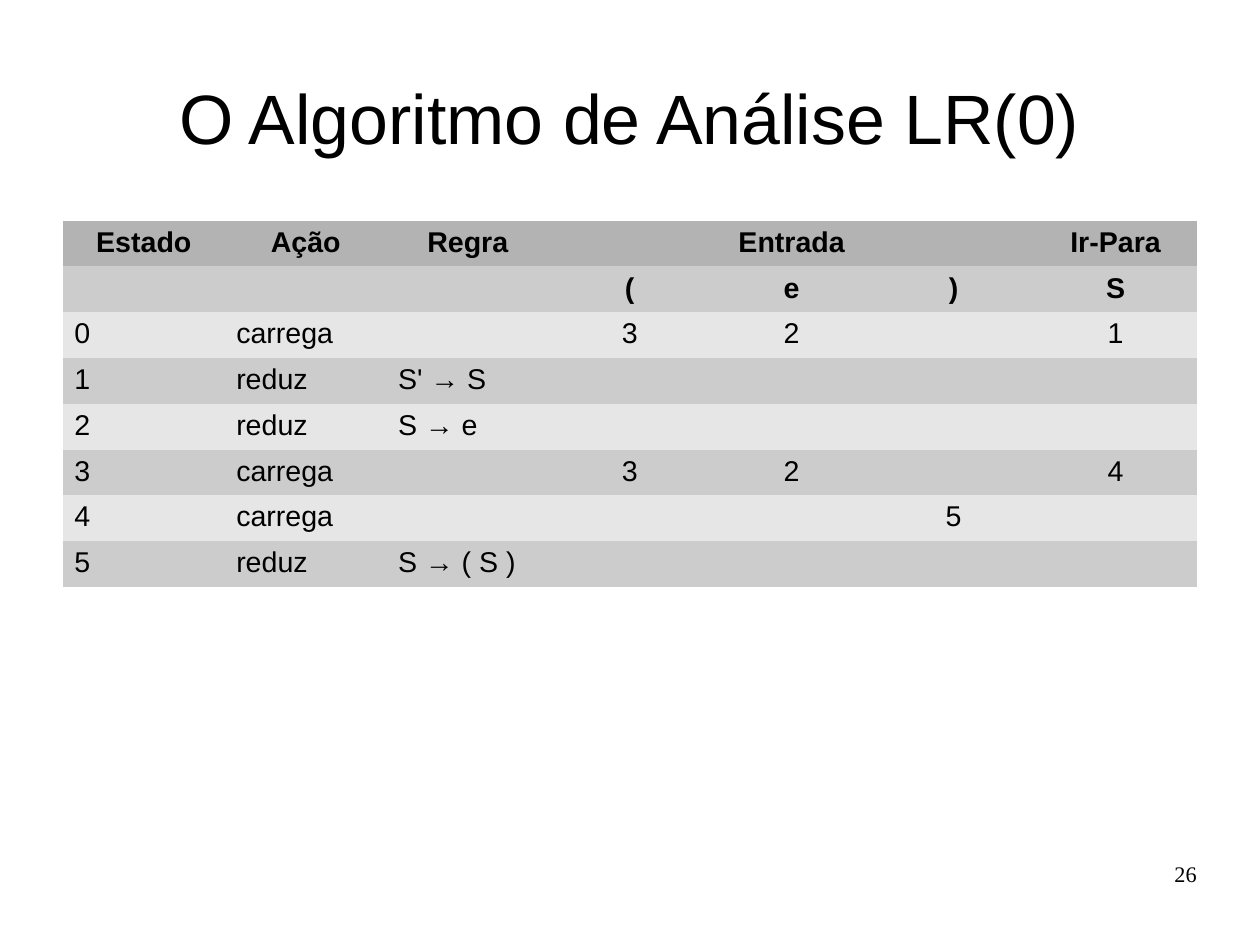
import pptx
import pptx.dml.color
import pptx.enum.text
import pptx.oxml.ns
import pptx.util

Pt = pptx.util.Pt
Align = pptx.enum.text.PP_ALIGN
Anchor = pptx.enum.text.MSO_ANCHOR

PLAIN = "{2D5ABB26-0587-4C30-8999-92F81FD0307C}"
HEADS = 2
ROWS = [
    ["Estado", "Ação", "Regra", "Entrada", "", "", "Ir-Para"],
    ["", "", "", "(", "e", ")", "S"],
    ["0", "carrega", "", "3", "2", "", "1"],
    ["1", "reduz", "S' → S", "", "", "", ""],
    ["2", "reduz", "S → e", "", "", "", ""],
    ["3", "carrega", "", "3", "2", "", "4"],
    ["4", "carrega", "", "", "", "5", ""],
    ["5", "reduz", "S → ( S )", "", "", "", ""],
]


def color(code):
    """Turn a hex string into a colour."""
    return pptx.dml.color.RGBColor.from_string(code)


def write(frame, text, size, align, face="Arial", bold=False):
    """Write one run into the first paragraph of a text frame."""
    para = frame.paragraphs[0]
    para.alignment = align
    run = para.add_run()
    run.text = text
    run.font.size = Pt(size)
    run.font.name = face
    run.font.bold = bold
    run.font.color.rgb = color("000000")


def label(slide, box, text, size, align, anchor, face="Arial"):
    """Place a text box without margins in the given box."""
    frame = slide.shapes.add_textbox(*map(Pt, box)).text_frame
    frame.word_wrap = True
    frame.vertical_anchor = anchor
    frame.margin_left = frame.margin_right = 0
    frame.margin_top = frame.margin_bottom = 0
    write(frame, text, size, align, face)


def grid(slide, box, rows):
    """Place the parsing table in the given box with equal rows and columns."""
    width, height = box[2:]
    count, wide = len(rows), len(rows[0])
    frame = slide.shapes.add_table(count, wide, *map(Pt, box))
    table = frame.table
    style = next(frame.element.iter(pptx.oxml.ns.qn("a:tableStyleId")))
    style.text = PLAIN
    for col in table.columns:
        col.width = Pt(width / wide)
    for row in table.rows:
        row.height = Pt(height / count)
    for r, row in enumerate(rows):
        shade = "B3B3B3" if r == 0 else "CCCCCC" if r % 2 else "E6E6E6"
        for c, text in enumerate(row):
            cell = table.cell(r, c)
            cell.fill.solid()
            cell.fill.fore_color.rgb = color(shade)
            if text:
                head = r < HEADS
                align = Align.CENTER if head or c > 2 else Align.LEFT
                write(cell.text_frame, text, 18, align, bold=head)
    table.cell(0, 3).merge(table.cell(0, 5))


def main():
    """Build the slide and save it."""
    deck = pptx.Presentation()
    deck.slide_width = Pt(793.7)
    deck.slide_height = Pt(595.28)
    slide = deck.slides.add_slide(deck.slide_layouts[6])
    label(slide, (39.6, 23.76, 714.24, 99.36), "O Algoritmo de Análise LR(0)",
          44, Align.CENTER, Anchor.MIDDLE)
    grid(slide, (39.6, 139, 714.24, 230.4), ROWS)
    label(slide, (568.8, 542.16, 185.04, 41.04), "26",
          14, Align.RIGHT, Anchor.TOP, "Times New Roman")
    deck.save("out.pptx")


if __name__ == "__main__":
    main()
